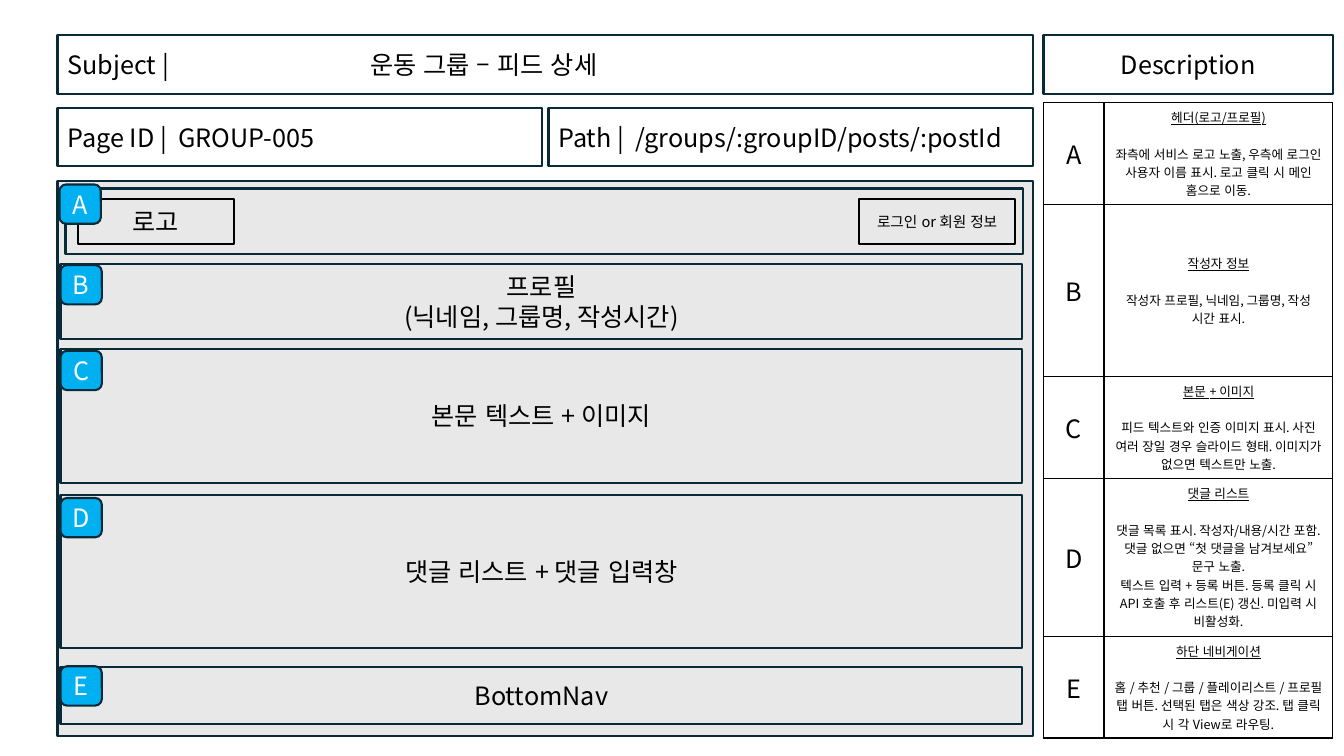
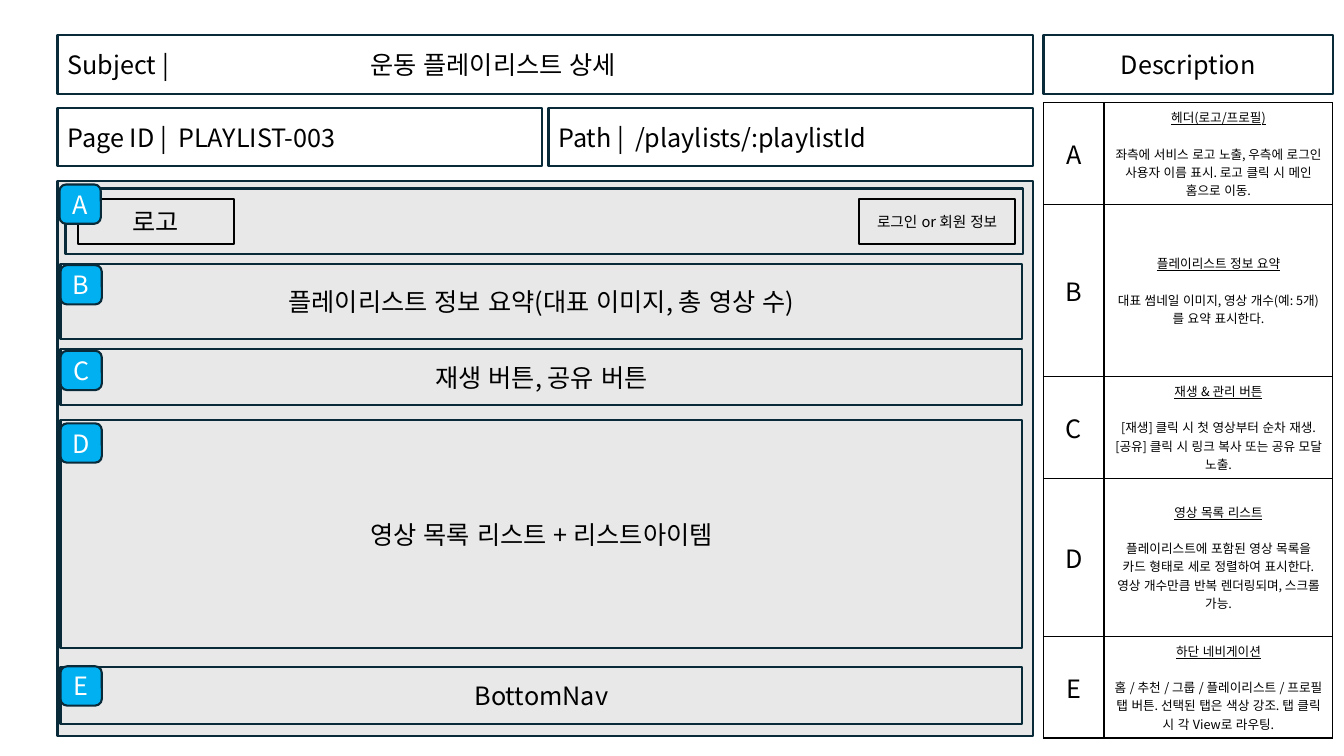
from collections import namedtuple

from lxml import etree
from pptx import Presentation
from pptx.dml.color import RGBColor
from pptx.enum.lang import MSO_LANGUAGE_ID as Lang
from pptx.enum.shapes import MSO_SHAPE as Preset
from pptx.enum.text import MSO_ANCHOR as Anchor, MSO_AUTO_SIZE as AutoSize, PP_ALIGN as Align
from pptx.oxml.ns import qn
from pptx.util import Inches, Pt

FONT = "Noto Sans CJK KR"
NAVY, BLACK, WHITE = "092A39", "000000", "FFFFFF"
CANVAS_GREY, BADGE_BLUE = "E8E8E8", "00B0F0"
TITLE_ONLY = 5

Box = namedtuple("Box", "left top width height")
Section = namedtuple("Section", "letter top height lines")
Note = namedtuple("Note", "heading body")

SUBJECT_BAR = Box(0.57, 0.35, 9.68, 0.58)
PAGE_ID_BAR = Box(0.57, 1.07, 4.81, 0.58)
PATH_BAR = Box(5.44, 1.07, 4.81, 0.58)
DESCRIPTION_BAR = Box(10.35, 0.35, 2.87, 0.58)
NOTES_TABLE = Box(10.35, 1.02, 2.87, 6.28)
WIREFRAME = Box(0.57, 1.8, 9.68, 5.5)

LETTER_COLUMN = 0.6
ROW_HEIGHTS = [1, 1.71, 1, 1.57, 1]
BADGE_DROPS = {"A": -0.04, "B": 0.01, "C": 0.02, "D": 0.03, "E": -0.01}

BOTTOM_NAV = Section("E", 4.82, 0.56, ["BottomNav"])
HEADER_NOTE = Note("헤더(로고/프로필)", [
    "좌측에 서비스 로고 노출, 우측에 로그인 사용자 이름 표시. 로고 클릭 시 메인 홈으로 이동."])
NAV_NOTE = Note("하단 네비게이션", [
    "홈 / 추천 / 그룹 / 플레이리스트 / 프로필 탭 버튼. 선택된 탭은 색상 강조. "
    "탭 클릭 시 각 View로 라우팅."])

PAGES = [
    {
        "subject": "운동 그룹 – 피드 상세",
        "page_id": "GROUP-005",
        "route": "/groups/:groupID/posts/:postId",
        "sections": [
            Section("B", 0.82, 0.74, ["프로필", "(닉네임, 그룹명, 작성시간)"]),
            Section("C", 1.66, 1.33, ["본문 텍스트 + 이미지"]),
            Section("D", 3.11, 1.52, ["댓글 리스트 + 댓글 입력창"]),
        ],
        "notes": [
            Note("작성자 정보", ["작성자 프로필, 닉네임, 그룹명, 작성 시간 표시."]),
            Note("본문 + 이미지", [
                "피드 텍스트와 인증 이미지 표시. 사진 여러 장일 경우 슬라이드 형태. "
                "이미지가 없으면 텍스트만 노출."]),
            Note("댓글 리스트", [
                "댓글 목록 표시. 작성자/내용/시간 포함. "
                "댓글 없으면 “첫 댓글을 남겨보세요” 문구 노출.",
                "텍스트 입력 + 등록 버튼. 등록 클릭 시 API 호출 후 리스트(E) 갱신. "
                "미입력 시 비활성화."]),
        ],
    },
    {
        "subject": "운동 플레이리스트 상세",
        "page_id": "PLAYLIST-003",
        "route": "/playlists/:playlistId",
        "sections": [
            Section("B", 0.82, 0.74, ["플레이리스트 정보 요약(대표 이미지, 총 영상 수)"]),
            Section("C", 1.66, 0.56, ["재생 버튼, 공유 버튼"]),
            Section("D", 2.37, 2.26, ["영상 목록 리스트 + 리스트아이템"]),
        ],
        "notes": [
            Note("플레이리스트 정보 요약", [
                "대표 썸네일 이미지, 영상 개수(예: 5개)를 요약 표시한다."]),
            Note("재생 & 관리 버튼", [
                "[재생] 클릭 시 첫 영상부터 순차 재생. "
                "[공유] 클릭 시 링크 복사 또는 공유 모달 노출."]),
            Note("영상 목록 리스트", [
                "플레이리스트에 포함된 영상 목록을 카드 형태로 세로 정렬하여 표시한다. "
                "영상 개수만큼 반복 렌더링되며, 스크롤 가능."]),
        ],
    },
]


def rgb(value):
    return RGBColor.from_string(value)


def to_emu(box):
    return [Inches(length) for length in box]


def write(frame, lines, size=18, color=BLACK, align=Align.CENTER):
    """Fill a text frame with one paragraph per line, in the shared font."""
    frame.word_wrap = True
    for index, line in enumerate(lines):
        paragraph = frame.paragraphs[0] if index == 0 else frame.add_paragraph()
        paragraph.alignment = align
        run = paragraph.add_run()
        run.text = line
        style = {"size": Pt(size), "name": FONT, "language_id": Lang.KOREAN}
        for attribute, value in style.items():
            setattr(run.font, attribute, value)
        run.font.color.rgb = rgb(color)
        etree.SubElement(run.font._element, qn("a:ea"), typeface=FONT)


def outline(shape, color=NAVY):
    shape.line.color.rgb = rgb(color)
    shape.line.width = Pt(1.5)


def add_panel(slide, box, lines=(), fill=None, line=NAVY, preset=Preset.RECTANGLE, **text):
    panel = slide.shapes.add_shape(preset, *to_emu(box))
    panel.shadow.inherit = False
    if fill:
        panel.fill.solid()
        panel.fill.fore_color.rgb = rgb(fill)
    else:
        panel.fill.background()
    outline(panel, line)
    panel.text_frame.vertical_anchor = Anchor.MIDDLE
    write(panel.text_frame, lines, **text)
    return panel


def write_field(frame, label, value, value_offset):
    """Write a label and its value, the value starting at a tab stop."""
    write(frame, [f"{label} |\t{value}"], align=Align.LEFT)
    properties = frame.paragraphs[0]._p.get_or_add_pPr()
    stops = etree.SubElement(properties, qn("a:tabLst"))
    etree.SubElement(stops, qn("a:tab"), pos=str(Inches(value_offset)), algn="l")


def add_subject(slide, box, subject):
    title = slide.shapes.title
    title.left, title.top, title.width, title.height = to_emu(box)
    outline(title)
    title.text_frame.auto_size = AutoSize.NONE
    title.text_frame.vertical_anchor = Anchor.MIDDLE
    write_field(title.text_frame, "Subject", subject, 3)


def add_badge(slide, letter, left, region_top):
    box = Box(left, region_top + BADGE_DROPS[letter], 0.41, 0.39)
    badge = add_panel(slide, box, [letter], fill=BADGE_BLUE,
                      preset=Preset.ROUNDED_RECTANGLE, color=WHITE)
    badge.text_frame.margin_left = badge.text_frame.margin_right = 0


def add_site_header(slide, box):
    add_panel(slide, box)
    width, height, top = 1.55, 0.45, box.top + 0.1
    logo = Box(box.left + 0.12, top, width, height)
    login = Box(box.left + box.width - 0.08 - width, top, width, height)
    add_panel(slide, logo, ["로고"], line=BLACK)
    add_panel(slide, login, ["로그인 or 회원 정보"], line=BLACK, size=10.5)
    add_badge(slide, "A", box.left - 0.06, box.top)


def add_wireframe(slide, box, sections):
    add_panel(slide, box, fill=CANVAS_GREY)
    add_site_header(slide, Box(box.left + 0.08, box.top + 0.07, 9.5, 0.65))
    left = box.left + 0.03
    for section in sections:
        top = box.top + section.top
        add_panel(slide, Box(left, top, 9.54, section.height), section.lines)
        add_badge(slide, section.letter, left, top)


def format_cell(cell):
    cell.vertical_anchor = Anchor.MIDDLE
    properties = cell._tc.get_or_add_tcPr()
    for side in ("a:lnL", "a:lnR", "a:lnT", "a:lnB"):
        border = etree.SubElement(properties, qn(side), w=str(Pt(1)))
        solid = etree.SubElement(border, qn("a:solidFill"))
        etree.SubElement(solid, qn("a:srgbClr"), val=BLACK)
    cell.fill.solid()
    cell.fill.fore_color.rgb = rgb(WHITE)


def add_notes_table(slide, box, notes):
    table = slide.shapes.add_table(len(notes), 2, *to_emu(box)).table
    table.first_row = table.horz_banding = False
    for column, width in zip(table.columns, (LETTER_COLUMN, box.width - LETTER_COLUMN)):
        column.width = Inches(width)
    for row, height, letter, note in zip(table.rows, ROW_HEIGHTS, BADGE_DROPS, notes):
        row.height = Inches(height)
        letter_cell, note_cell = row.cells
        write(letter_cell.text_frame, [letter])
        write(note_cell.text_frame, [note.heading, *note.body], size=9)
        heading = note_cell.text_frame.paragraphs[0]
        heading.runs[0].font.underline = True
        heading.space_after = Pt(13)
        for cell in (letter_cell, note_cell):
            format_cell(cell)


def add_page(deck, page):
    slide = deck.slides.add_slide(deck.slide_layouts[TITLE_ONLY])
    add_subject(slide, SUBJECT_BAR, page["subject"])
    for box, label, value, offset in (
        (PAGE_ID_BAR, "Page ID", page["page_id"], 1.1),
        (PATH_BAR, "Path", page["route"], 0.76),
    ):
        write_field(add_panel(slide, box).text_frame, label, value, offset)
    add_panel(slide, DESCRIPTION_BAR, ["Description"])
    add_wireframe(slide, WIREFRAME, [*page["sections"], BOTTOM_NAV])
    add_notes_table(slide, NOTES_TABLE, [HEADER_NOTE, *page["notes"], NAV_NOTE])


def main():
    deck = Presentation()
    deck.slide_width, deck.slide_height = Inches(13.33), Inches(7.5)
    for page in PAGES:
        add_page(deck, page)
    deck.save("out.pptx")


if __name__ == "__main__":
    main()
